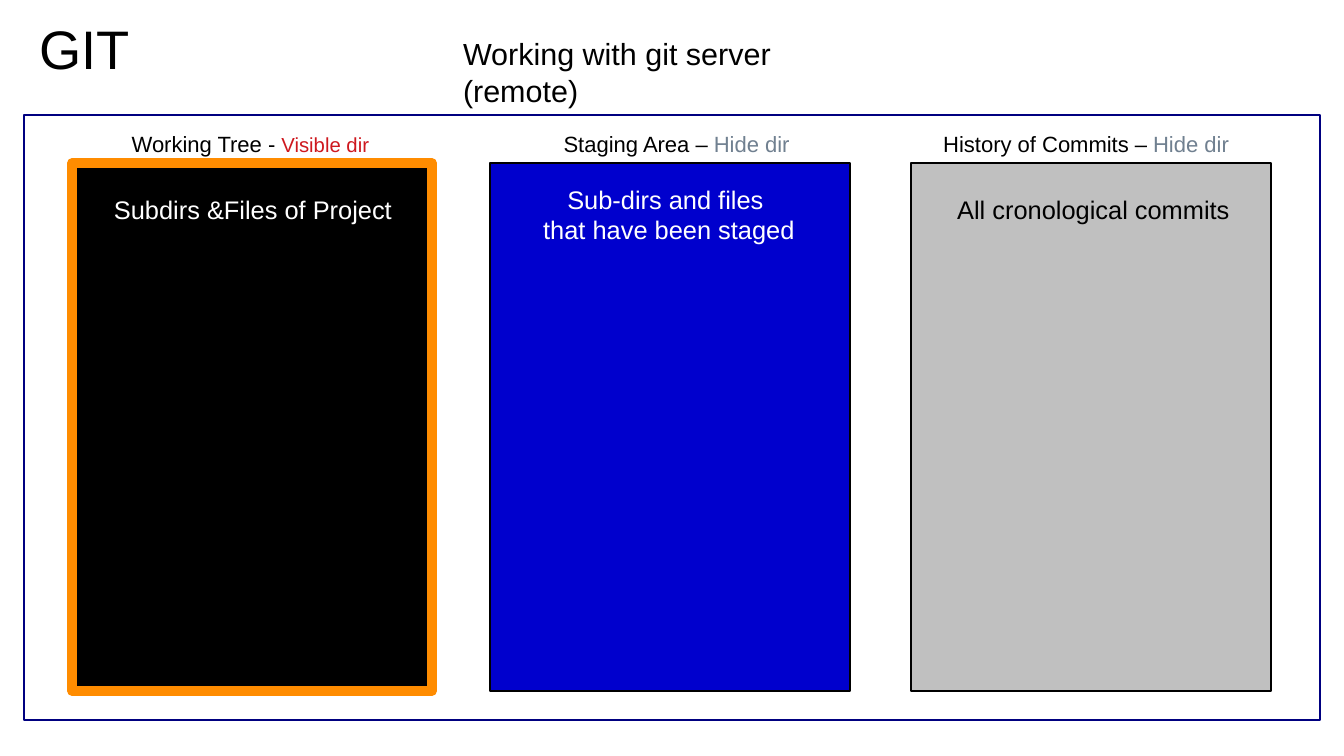
import pptx
import pptx.dml.color
import pptx.enum.shapes
import pptx.enum.text
import pptx.oxml.ns
import pptx.util
from lxml import etree

PX = 7495  # EMU per px, 122 px to the inch
COLORS = {
    "white": "FFFFFF", "black": "000000", "navy": "000080", "orange": "FF8C00",
    "blue": "0000CD", "silver": "C0C0C0", "red": "CE181E", "slate": "708090",
}
ALIGN = pptx.enum.text.PP_ALIGN
ANCHOR = pptx.enum.text.MSO_ANCHOR


def color(name):
    return pptx.dml.color.RGBColor.from_string(COLORS[name])


class SlideBuilder:
    """Holds the text style and the slide being filled."""

    def __init__(self, slide, font_name):
        self.slide = slide
        self.font_name = font_name

    def box(self, area, fill, line, line_width=0.75):
        shape = self.slide.shapes.add_shape(
            pptx.enum.shapes.MSO_SHAPE.RECTANGLE, *(value * PX for value in area))
        shape.shadow.inherit = False
        shape.fill.solid()
        shape.fill.fore_color.rgb = color(fill)
        shape.line.color.rgb = color(line)
        shape.line.width = pptx.util.Pt(line_width)
        etree.SubElement(shape.line._ln, pptx.oxml.ns.qn("a:round"))

    def text(self, area, lines, align=ALIGN.CENTER, anchor=ANCHOR.TOP, margins=(12, 6)):
        """Each line is a list of (words, size, color) runs."""
        shape = self.slide.shapes.add_textbox(*(value * PX for value in area))
        frame = shape.text_frame
        side, end = (margin * PX for margin in margins)
        frame_format = {
            "word_wrap": True, "vertical_anchor": anchor,
            "margin_left": side, "margin_right": side,
            "margin_top": end, "margin_bottom": end,
        }
        for name, value in frame_format.items():
            setattr(frame, name, value)
        for index, runs in enumerate(lines):
            paragraph = frame.add_paragraph() if index else frame.paragraphs[0]
            paragraph.alignment = align
            for words, size, color_name in runs:
                run = paragraph.add_run()
                run.text = words
                font_format = {"name": self.font_name, "size": pptx.util.Pt(size)}
                for name, value in font_format.items():
                    setattr(run.font, name, value)
                run.font.color.rgb = color(color_name)


def main():
    presentation = pptx.Presentation()
    presentation.slide_width = 1344 * PX
    presentation.slide_height = 756 * PX
    slide = presentation.slides.add_slide(presentation.slide_layouts[6])
    builder = SlideBuilder(slide, "Arial")

    # Headings
    builder.text((5, 5, 159, 85), [[("GIT", 32, "black")]],
                 anchor=ANCHOR.MIDDLE, margins=(0, 0))
    builder.text((451, 29, 455, 46),
                 [[("Working with git server (remote)", 18, "black")]], align=ALIGN.LEFT)

    # Frame around the three areas
    builder.box((24, 115, 1296, 605), "white", "navy")

    # Areas: left, fill, line, line width, heading, heading place,
    # note, note size and color, content lines, content place, content color
    areas = [
        (72, "black", "orange", 5.67, "Working Tree - ", (110, 281),
         "Visible dir", 12, "red",
         ["Subdirs &Files of Project"], (100, 188, 306, 40), "white"),
        (490, "blue", "black", 0.75, "Staging Area – ", (538, 277),
         "Hide dir", 13, "slate",
         ["Sub-dirs and files ", "that have been staged"], (514, 178, 310, 68), "white"),
        (911, "silver", "black", 0.75, "History of Commits – ", (920, 332),
         "Hide dir", 13, "slate",
         ["All cronological commits "], (942, 188, 310, 43), "black"),
    ]
    for (left, fill, line, line_width, heading, (heading_left, heading_width),
         note, note_size, note_color, content, content_area, content_color) in areas:
        builder.box((left, 163, 360, 528), fill, line, line_width)
        builder.text((heading_left, 124, heading_width, 37),
                     [[(heading, 13, "black"), (note, note_size, note_color)]])
        builder.text(content_area, [[(words, 15, content_color)] for words in content])

    presentation.save("out.pptx")


if __name__ == "__main__":
    main()
